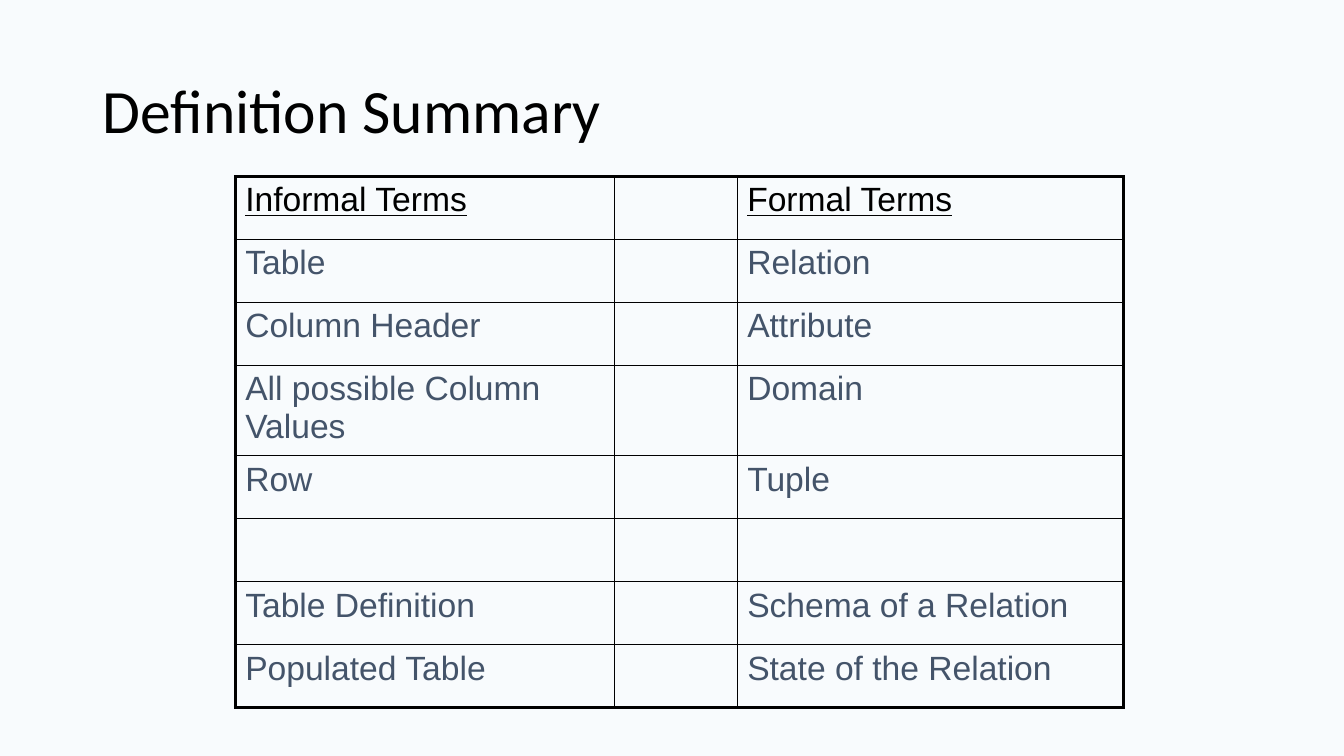
from dataclasses import dataclass

from lxml import etree
from pptx import Presentation
from pptx import util as u
from pptx.dml.color import RGBColor
from pptx.enum import text
from pptx.oxml.ns import qn


@dataclass(frozen=True)
class Theme:
    background: str = "F8FBFD"
    ink: str = "000000"
    muted: str = "44546A"
    title_font: str = "Calibri"
    body_font: str = "Arial"
    title_size: float = 44
    body_size: float = 24
    thin: float = 1
    thick: float = 2.25


THEME = Theme()
GRID = 100  # the slide is divided into 100 columns and 100 rows

TERMS = [
    ("Informal Terms", "", "Formal Terms"),
    ("Table", "", "Relation"),
    ("Column Header", "", "Attribute"),
    ("All possible Column Values", "", "Domain"),
    ("Row", "", "Tuple"),
    ("", "", ""),
    ("Table Definition", "", "Schema of a Relation"),
    ("Populated Table", "", "State of the Relation"),
]
COLUMN_WIDTHS = [28.2, 9.15, 28.73]
ROW_HEIGHT, TALL_ROW_HEIGHT = 8.33, 12
TALL_ROW = 3


def write_text(paragraph, content, *, font, size, color, underline=False):
    run = paragraph.add_run()
    run.text = content
    run.font.name = font
    run.font.size = u.Pt(size)
    run.font.color.rgb = RGBColor.from_string(color)
    run.font.underline = underline


def draw_border(cell, side, width, color):
    line = etree.SubElement(cell._tc.get_or_add_tcPr(), qn(f"a:ln{side}"),
                            w=str(u.Pt(width)))
    fill = etree.SubElement(line, qn("a:solidFill"))
    etree.SubElement(fill, qn("a:srgbClr"), val=color)


class SlideBuilder:
    def __init__(self, presentation, theme):
        self.theme = theme
        self.column = presentation.slide_width / GRID
        self.row = presentation.slide_height / GRID
        self.slide = presentation.slides.add_slide(presentation.slide_layouts[5])
        background = self.slide.background.fill
        background.solid()
        background.fore_color.rgb = RGBColor.from_string(theme.background)

    def columns(self, count):
        return round(self.column * count)

    def rows(self, count):
        return round(self.row * count)

    def title(self, content, left, top, width, height):
        shape = self.slide.shapes.title
        shape.left, shape.top = self.columns(left), self.rows(top)
        shape.width, shape.height = self.columns(width), self.rows(height)
        frame = shape.text_frame
        frame.auto_size = text.MSO_AUTO_SIZE.NONE
        frame.vertical_anchor = text.MSO_ANCHOR.MIDDLE
        paragraph = frame.paragraphs[0]
        paragraph.alignment = text.PP_ALIGN.LEFT
        paragraph.line_spacing = 0.9
        write_text(paragraph, content, font=self.theme.title_font,
                   size=self.theme.title_size, color=self.theme.ink)

    def table(self, records, left, top, widths, heights):
        table = self.slide.shapes.add_table(
            len(records), len(widths), self.columns(left), self.rows(top),
            self.columns(sum(widths)), self.rows(sum(heights))).table
        table.first_row = table.horz_banding = False
        for column, width in zip(table.columns, widths):
            column.width = self.columns(width)
        for row, height in zip(table.rows, heights):
            row.height = self.rows(height)
        for r, record in enumerate(records):
            for c, content in enumerate(record):
                # Only the outer frame is thick
                outer = {"L": c == 0, "R": c == len(widths) - 1,
                         "T": r == 0, "B": r == len(records) - 1}
                self.cell(table.cell(r, c), content, outer, is_header=r == 0)

    def cell(self, cell, content, outer, is_header):
        theme = self.theme
        for side, is_outer in outer.items():
            draw_border(cell, side, theme.thick if is_outer else theme.thin,
                        theme.ink)
        cell.fill.background()
        if content:
            write_text(cell.text_frame.paragraphs[0], content,
                       font=theme.body_font, size=theme.body_size,
                       color=theme.ink if is_header else theme.muted,
                       underline=is_header)


def main():
    presentation = Presentation()
    presentation.slide_width = u.Inches(13.33)
    presentation.slide_height = u.Inches(7.5)
    builder = SlideBuilder(presentation, THEME)

    # Title
    builder.title("Definition Summary", left=6.88, top=5.33, width=86.25, height=19.33)

    # Informal terms beside their formal counterparts
    heights = [TALL_ROW_HEIGHT if r == TALL_ROW else ROW_HEIGHT
               for r in range(len(TERMS))]
    builder.table(TERMS, left=17.5, top=23.33, widths=COLUMN_WIDTHS, heights=heights)

    presentation.save("out.pptx")


if __name__ == "__main__":
    main()
